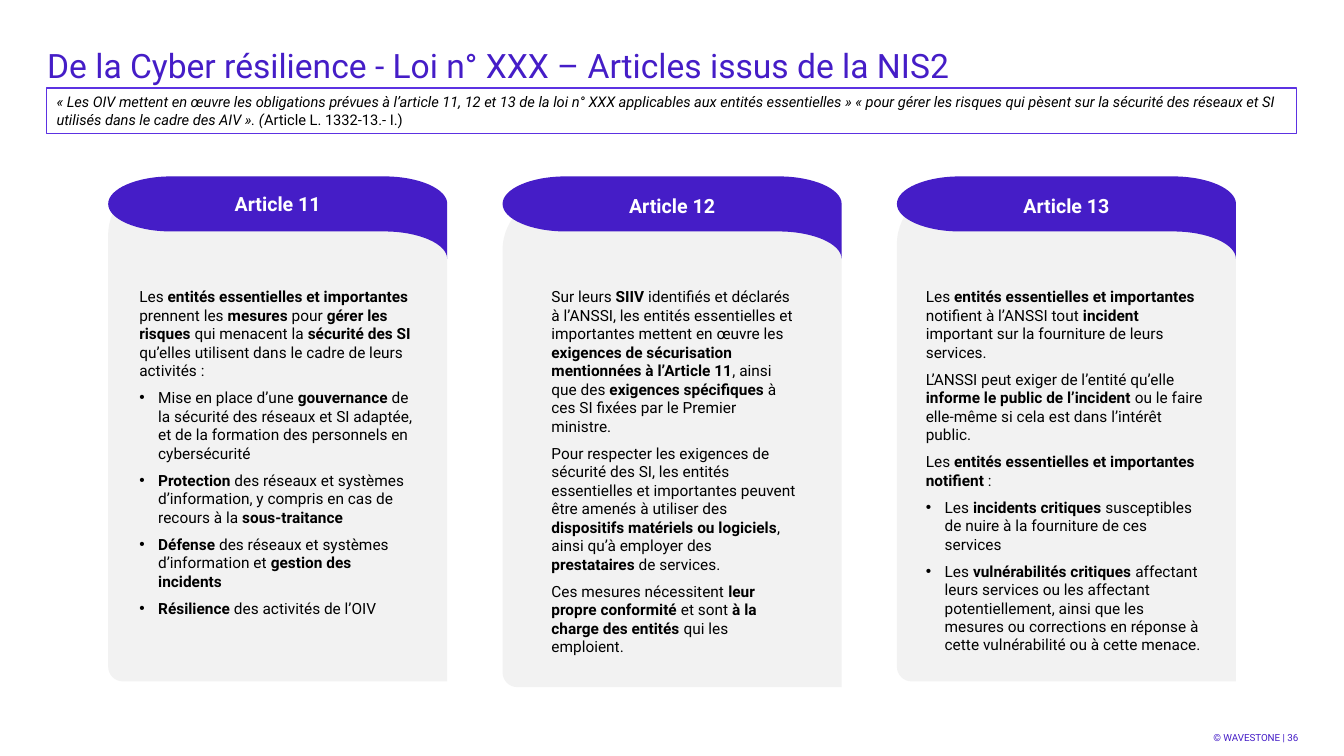
from lxml.etree import SubElement
from pptx import Presentation
from pptx.dml.color import RGBColor
from pptx.enum.shapes import MSO_SHAPE
from pptx.enum.text import MSO_ANCHOR, PP_ALIGN
from pptx.oxml.ns import qn
from pptx.util import Pt

# In the texts, ** switches bold on and off; a leading "• " makes a bullet.
TITLE = "De la Cyber résilience - Loi n° XXX – Articles issus de la NIS2"
QUOTE = (
    "« Les OIV mettent en œuvre les obligations prévues à l’article 11, 12 et 13 de la loi n° XXX "
    "applicables aux entités essentielles » « pour gérer les risques qui pèsent sur la sécurité "
    "des réseaux et SI utilisés dans le cadre des AIV ». ("
)
REFERENCE = "Article L. 1332-13.- I.)"
FOOTER = "© WAVESTONE | 36"

CARDS = [
    dict(
        heading="Article 11", heading_top=134.2, panel_top=126, panel_bottom=486.7,
        text_indent=22.2, text_width=198, text_height=243.4,
        paragraphs=[
            "Les **entités essentielles et importantes **prennent les **mesures **pour **gérer les "
            "risques **qui menacent la **sécurité des SI **qu’elles utilisent dans le cadre de leurs "
            "activités :",
            "• Mise en place d’une **gouvernance** de la sécurité des réseaux et SI adaptée, et de la "
            "formation des personnels en cybersécurité",
            "• **Protection** des réseaux et systèmes d’information, y compris en cas de recours à la "
            "**sous-traitance**",
            "• **Défense** des réseaux et systèmes d’information et **gestion des incidents**",
            "• **Résilience** des activités de l’OIV",
        ],
    ),
    dict(
        heading="Article 12", heading_top=135.6, panel_top=136.6, panel_bottom=490.8,
        text_indent=34.9, text_width=175.8, text_height=234.7,
        paragraphs=[
            "Sur leurs **SIIV** identifiés et déclarés à l’ANSSI, les entités essentielles et "
            "importantes mettent en œuvre les **exigences de sécurisation mentionnées à l’Article "
            "11**, ainsi que des **exigences spécifiques **à ces SI fixées par le Premier ministre.",
            "Pour respecter les exigences de sécurité des SI, les entités essentielles et importantes "
            "peuvent être amenés à utiliser des **dispositifs matériels ou logiciels**, ainsi qu’à "
            "employer des **prestataires **de services.",
            "Ces mesures nécessitent **leur propre conformité** et sont **à la charge des entités "
            "**qui les emploient.",
        ],
    ),
    dict(
        heading="Article 13", heading_top=135.6, panel_top=132.4, panel_bottom=486.7,
        text_indent=20.6, text_width=200.2, text_height=252.7,
        paragraphs=[
            "Les **entités essentielles et importantes **notifient à l’ANSSI tout **incident** "
            "important sur la fourniture de leurs services.",
            "L’ANSSI peut exiger de l’entité qu’elle **informe le public de l’incident **ou le faire "
            "elle-même si cela est dans l’intérêt public.",
            "Les **entités essentielles et importantes notifient **:",
            "• Les **incidents critiques **susceptibles de nuire à la fourniture de ces services",
            "• Les **vulnérabilités critiques **affectant leurs services ou les affectant "
            "potentiellement, ainsi que les mesures ou corrections en réponse à cette vulnérabilité "
            "ou à cette menace.",
        ],
    ),
]

FONT = "Roboto"
VIOLET, BORDER, GREY, WHITE, BLACK = "451DC7", "5C32E2", "F2F2F2", "FFFFFF", "000000"

CARD_LEFT, CARD_STEP, CARD_WIDTH = 77.3, 281.7, 242.2
BANNER_TOP, BANNER_HEIGHT = 126, 59
CORNER, PANEL_CORNER_HEIGHT, FOOT_CORNER = 45, 42, 10.5
ROUNDNESS = 0.55
HEADING_WIDTH, BULLET_INDENT = 119.6, 13.5

presentation = Presentation()
presentation.slide_width, presentation.slide_height = Pt(960), Pt(540)
slide = presentation.slides.add_slide(presentation.slide_layouts[6])


def colour(hex_code):
    return RGBColor.from_string(hex_code)


def add_bullet(paragraph):
    properties = paragraph._p.get_or_add_pPr()
    properties.set("marL", str(Pt(BULLET_INDENT)))
    properties.set("indent", str(-Pt(BULLET_INDENT)))
    SubElement(properties, qn("a:buFont")).set("typeface", "Arial")
    SubElement(properties, qn("a:buChar")).set("char", "•")


def write(frame, paragraphs, size, ink=BLACK, bold=False, italic=None, after=0,
          align=PP_ALIGN.LEFT, anchor=MSO_ANCHOR.TOP, margins=(0, 0)):
    frame.word_wrap = True
    frame.vertical_anchor = anchor
    frame.margin_left = frame.margin_right = Pt(margins[0])
    frame.margin_top = frame.margin_bottom = Pt(margins[1])
    for number, text in enumerate(paragraphs):
        paragraph = frame.add_paragraph() if number else frame.paragraphs[0]
        if text.startswith("• "):
            add_bullet(paragraph)
            text = text[2:]
        paragraph.alignment = align
        paragraph.space_after = Pt(after)
        paragraph.font.size = Pt(size)
        for position, piece in enumerate(text.split("**")):
            if piece:
                run = paragraph.add_run()
                run.text = piece
                run.font.name, run.font.size = FONT, Pt(size)
                run.font.bold = bold or position % 2 == 1
                run.font.italic = italic
                run.font.color.rgb = colour(ink)


def add_text(shapes, left, top, width, height, paragraphs, **text_format):
    box = shapes.add_textbox(Pt(left), Pt(top), Pt(width), Pt(height))
    write(box.text_frame, paragraphs, **text_format)


def toward(start, corner):
    return tuple(s + (c - s) * ROUNDNESS for s, c in zip(start, corner))


def add_outline(shapes, left, top, stops, fill):
    """Draw stops of one point (a line to it) or two (a rounded corner, then its end)."""
    points = [stops[0][0]]
    for *corner, end in stops[1:]:
        if corner:
            points += [toward(points[-1], corner[0]), toward(end, corner[0])]
        points.append(end)
    start, *rest = [(Pt(left + x), Pt(top + y)) for x, y in points]
    builder = shapes.build_freeform(*start)
    builder.add_line_segments(rest, close=True)
    outline = builder.convert_to_shape()

    lines = iter(list(outline._element.iter(qn("a:lnTo"))))
    for stop in stops[1:]:
        line = next(lines)
        if len(stop) == 2:
            line.tag = qn("a:cubicBezTo")
            for other in (next(lines), next(lines)):
                line.append(other[0])
                other.getparent().remove(other)

    outline.shadow.inherit = False
    outline.fill.solid()
    outline.fill.fore_color.rgb = colour(fill)
    outline.line.fill.background()


def panel_stops(height):
    return [
        [(CORNER, 0)],
        [(CARD_WIDTH - CORNER, 0)],
        [(CARD_WIDTH, 0), (CARD_WIDTH, PANEL_CORNER_HEIGHT)],
        [(CARD_WIDTH, height)],
        [(FOOT_CORNER, height)],
        [(0, height), (0, height - FOOT_CORNER)],
        [(0, PANEL_CORNER_HEIGHT)],
        [(0, 0), (CORNER, 0)],
    ]


def banner_stops():
    third, right = BANNER_HEIGHT / 3, CARD_WIDTH - CORNER
    return [
        [(CARD_WIDTH / 2, 0)],
        [(CORNER, 0)],
        [(0, 0), (0, third)],
        [(0, 2 * third), (CORNER, 2 * third)],
        [(right, 2 * third)],
        [(CARD_WIDTH, 2 * third), (CARD_WIDTH, BANNER_HEIGHT)],
        [(CARD_WIDTH, third)],
        [(CARD_WIDTH, 0), (right, 0)],
    ]


add_text(slide.shapes, 833.8, 517.7, 93.6, 18.7, [FOOTER], size=7, ink=VIOLET,
         align=PP_ALIGN.RIGHT, anchor=MSO_ANCHOR.MIDDLE, margins=(0, 3.6))
add_text(slide.shapes, 33.7, 32, 892.8, 73.4, [TITLE], size=24, ink=VIOLET)

for index, card in enumerate(CARDS):
    left = CARD_LEFT + index * CARD_STEP
    shapes = slide.shapes.add_group_shape().shapes
    add_outline(shapes, left, card["panel_top"],
                panel_stops(card["panel_bottom"] - card["panel_top"]), GREY)
    add_outline(shapes, left, BANNER_TOP, banner_stops(), VIOLET)
    add_text(shapes, left + (CARD_WIDTH - HEADING_WIDTH) / 2, card["heading_top"],
             HEADING_WIDTH, 23, [card["heading"]], size=14, ink=WHITE, bold=True, after=6,
             align=PP_ALIGN.CENTER, anchor=MSO_ANCHOR.MIDDLE, margins=(0, 2.9))
    add_text(shapes, left + card["text_indent"], 205.4, card["text_width"],
             card["text_height"], card["paragraphs"], size=11, after=6)

quote = slide.shapes.add_shape(MSO_SHAPE.RECTANGLE, Pt(33.3), Pt(62.9), Pt(893), Pt(32.4))
quote.shadow.inherit = False
quote.fill.solid()
quote.fill.fore_color.rgb = colour(WHITE)
quote.line.color.rgb = colour(BORDER)
quote.line.width = Pt(1)
write(quote.text_frame, [f"{QUOTE}**{REFERENCE}"], size=10.5, italic=True, margins=(7.2, 3.6))
reference_run = quote.text_frame.paragraphs[0].runs[-1]
reference_run.font.bold = reference_run.font.italic = False

presentation.save("out.pptx")
